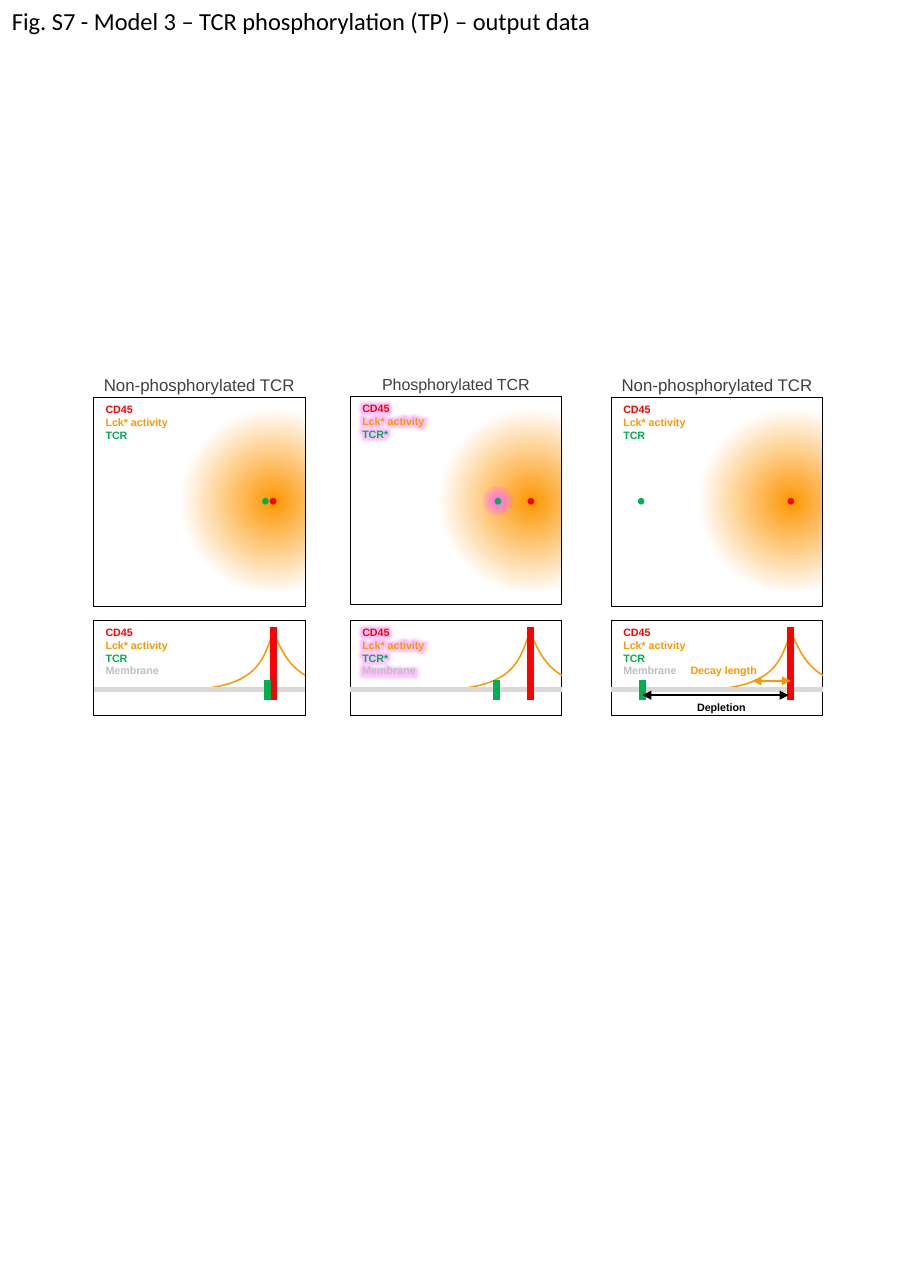
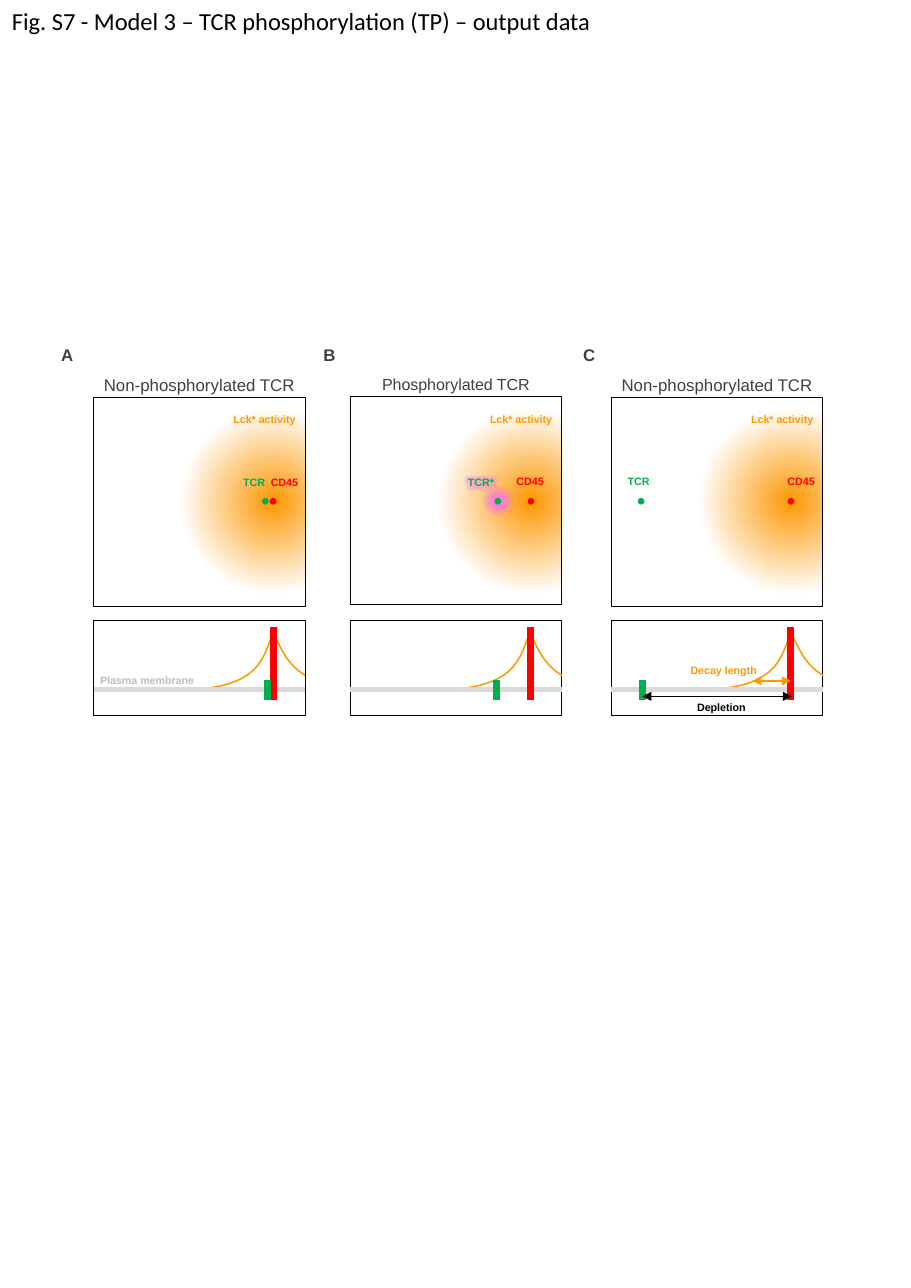
from pptx import Presentation
from pptx.dml.color import RGBColor
from pptx.enum.shapes import MSO_CONNECTOR, MSO_SHAPE
from pptx.enum.text import MSO_AUTO_SIZE, PP_ALIGN
from pptx.oxml import parse_xml
from pptx.oxml.ns import nsdecls, qn
from pptx.util import Inches, Pt
from lxml.etree import SubElement

HUES = {"red": "FF0000", "amber": "FD9803", "green": "00B050", "pink": "FF66FF",
        "pale": "D9D9D9", "gray": "BFBFBF", "dark": "404040",
        "black": "000000", "white": "FFFFFF"}
TITLE = "Fig. S7 - Model 3 – TCR phosphorylation (TP) – output data"
SIDE, LOW = 1.92, 5.63   # frame width, lower frame top
FILM = 6.26              # height of the membrane line


def hue(name):
    return RGBColor.from_string(HUES[name])


class Fig:
    def __init__(self, deck):
        self.deck = deck

    def page(self):
        self.slide = self.deck.slides.add_slide(self.deck.slide_layouts[6])
        self.shapes = self.slide.shapes
        self.text(0.01, 0.01, 5.52, 0.37, [(TITLE, "black")], 16, "Calibri", bold=False)

    def text(self, x, y, w, h, rows, size=7, font="Arial", bold=True,
             mid=False, glow=False):
        box = self.shapes.add_textbox(Inches(x), Inches(y), Inches(w), Inches(h))
        frame = box.text_frame
        frame.word_wrap = False
        frame.auto_size = MSO_AUTO_SIZE.SHAPE_TO_FIT_TEXT
        for i, (words, name) in enumerate(rows):
            para = frame.add_paragraph() if i else frame.paragraphs[0]
            para.alignment = PP_ALIGN.CENTER if mid else PP_ALIGN.LEFT
            run = para.add_run()
            run.text = words
            run.font.size, run.font.name, run.font.bold = Pt(size), font, bold
            run.font.color.rgb = hue(name)
            if glow:
                run.font.fill._xPr.find(qn("a:solidFill")).addnext(parse_xml(
                    f'<a:effectLst {nsdecls("a")}><a:glow rad="139700">'
                    f'<a:srgbClr val="{HUES["pink"]}"><a:alpha val="40000"/>'
                    '</a:srgbClr></a:glow></a:effectLst>'))

    def shape(self, kind, x, y, w, h, fill=None, line=None):
        form = self.shapes.add_shape(kind, Inches(x), Inches(y), Inches(w), Inches(h))
        self.paint(form, fill, line, 0.5)
        return form

    def paint(self, form, fill, line, width):
        form.shadow.inherit = False
        if fill:
            form.fill.solid()
            form.fill.fore_color.rgb = hue(fill)
        else:
            form.fill.background()
        if line:
            form.line.color.rgb = hue(line)
            form.line.width = Pt(width)
        else:
            form.line.fill.background()

    def dot(self, x, y, size, name):
        return self.shape(MSO_SHAPE.OVAL, x - size / 2, y - size / 2, size, size, name)

    def halo(self, x, y, size, name, end):
        form = self.dot(x, y, size, None)
        none = form.element.spPr.find(qn("a:noFill"))
        none.getparent().replace(none, parse_xml(
            f'<a:gradFill {nsdecls("a")}><a:gsLst>'
            f'<a:gs pos="0"><a:srgbClr val="{HUES[name]}"/></a:gs>'
            f'<a:gs pos="{end * 1000}"><a:srgbClr val="{HUES[name]}">'
            '<a:alpha val="0"/></a:srgbClr></a:gs></a:gsLst><a:path path="circle">'
            '<a:fillToRect l="50000" t="50000" r="50000" b="50000"/>'
            '</a:path></a:gradFill>'))

    def line(self, x, y, x2, y2, name, width, heads=False):
        rule = self.shapes.add_connector(
            MSO_CONNECTOR.STRAIGHT, Inches(x), Inches(y), Inches(x2), Inches(y2))
        rule.line.color.rgb = hue(name)
        rule.line.width = Pt(width)
        if heads:
            for end in ("a:headEnd", "a:tailEnd"):
                SubElement(rule.line._ln, qn(end), type="triangle")
        SubElement(rule.element.spPr, qn("a:effectLst"))

    def curve(self, *knots):
        """One cubic curve through four control points."""
        spots = [(Inches(x), Inches(y)) for x, y in knots]
        pen = self.shapes.build_freeform(*spots[0])
        pen.add_line_segments(spots[1:], close=False)
        form = pen.convert_to_shape()
        legs = list(form.element.iter(qn("a:lnTo")))
        bend = SubElement(legs[0].getparent(), qn("a:cubicBezTo"))
        for leg in legs:
            bend.append(leg[0])
            leg.getparent().remove(leg)
        self.paint(form, None, "amber", 1)

    # Upper frame: view from above
    def above(self, x, top, head, size, wide, core, tcr, lit):
        self.text(x + 0.96 - wide / 2, 3.35, wide, 0.29, [(head, "dark")], size,
                  bold=False, mid=True)
        self.halo(core, 4.55, 1.7, "amber", 70)
        self.dot(core, 4.55, 0.06, "red")
        if lit:
            self.halo(tcr, 4.55, 0.26, "pink", 83)
        self.shape(MSO_SHAPE.RECTANGLE, x + SIDE, top, 0.59, 1.89, "white")
        self.shape(MSO_SHAPE.RECTANGLE, x, top, SIDE, 1.89, line="black")
        self.dot(tcr, 4.55, 0.06, "green")

    # Lower frame: view from the side
    def side(self, x, core, tcr):
        peak, edge = x + 1.63, x + SIDE
        self.shape(MSO_SHAPE.RECTANGLE, x, LOW, SIDE, 0.86, line="black")
        self.curve((peak, 5.74), (peak + 0.1, 5.95), (peak + 0.14, 6.03), (edge, 6.13))
        self.curve((peak, 5.74), (peak - 0.09, 5.95), (peak - 0.1, FILM), (x + 0.78, FILM))
        self.line(edge, FILM, x, FILM, "pale", 3)
        self.line(core, 5.69, core, 6.35, "red", 4.5)
        for y in (FILM - 0.09, FILM):
            self.line(tcr, y, tcr, y + 0.09, "green", 4.5)

    # Distances in the last lower frame
    def spans(self, end, y):
        self.line(6.83, 6.18, 7.18, 6.18, "amber", 1, heads=True)
        self.line(5.83, y, end, y, "black", 1, heads=True)
        self.text(6.23, 6.31, 0.65, 0.22, [("Depletion", "black")])
        self.text(6.17, 5.98, 0.81, 0.22, [("Decay length", "amber")])


deck = Presentation()
deck.slide_width, deck.slide_height = Inches(8.27), Inches(11.69)
fig = Fig(deck)

# left, top, heading, size, width, CD45, TCR from above, TCR from the side, lit
CASES = [(0.85, 3.61, "Non-phosphorylated TCR", 11, 1.95, 2.48, 2.41, 2.43, False),
         (3.18, 3.6, "Phosphorylated TCR", 10.5, 1.57, 4.82, 4.52, 4.51, True),
         (5.55, 3.61, "Non-phosphorylated TCR", 11, 1.95, 7.18, 5.82, 5.83, False)]


def panels():
    for x, top, head, size, wide, core, tcr, bar, lit in CASES:
        fig.above(x, top, head, size, wide, core, tcr, lit)
        fig.side(x, core, bar)
        yield x, top, "TCR*" if lit else "TCR", lit


# Slide 1: legends inside the frames
fig.page()
for x, top, name, lit in panels():
    rows = [("CD45", "red"), ("Lck* activity", "amber"), (name, "green")]
    fig.text(x + 0.01, top, 0.78, 0.45, rows, glow=lit)
    fig.text(x + 0.01, LOW, 0.78, 0.57, rows + [("Membrane", "gray")], glow=lit)
fig.spans(7.16, 6.31)

# Slide 2: labels beside the dots, lettered panels
fig.page()
TAGS = [("A", 0.41, 2.11, 4.27, 2.36, 4.27),
        ("B", 2.79, 4.15, 4.27, 4.59, 4.26),
        ("C", 5.15, 5.6, 4.26, 7.05, 4.26)]
for (x, top, name, lit), (mark, left, tx, ty, cx, cy) in zip(panels(), TAGS):
    fig.text(tx, ty, 0.44 if lit else 0.4, 0.22, [(name, "green")], glow=lit)
    fig.text(cx, cy, 0.45, 0.22, [("CD45", "red")])
    fig.text(x + 1.17, 3.7, 0.78, 0.22, [("Lck* activity", "amber")])
    fig.text(left, 3.08, 0.4, 0.29, [(mark, "dark")], 11, mid=True)
fig.text(0.81, 6.07, 1.07, 0.22, [("Plasma membrane", "gray")])
fig.spans(7.19, 6.32)

deck.save("out.pptx")
